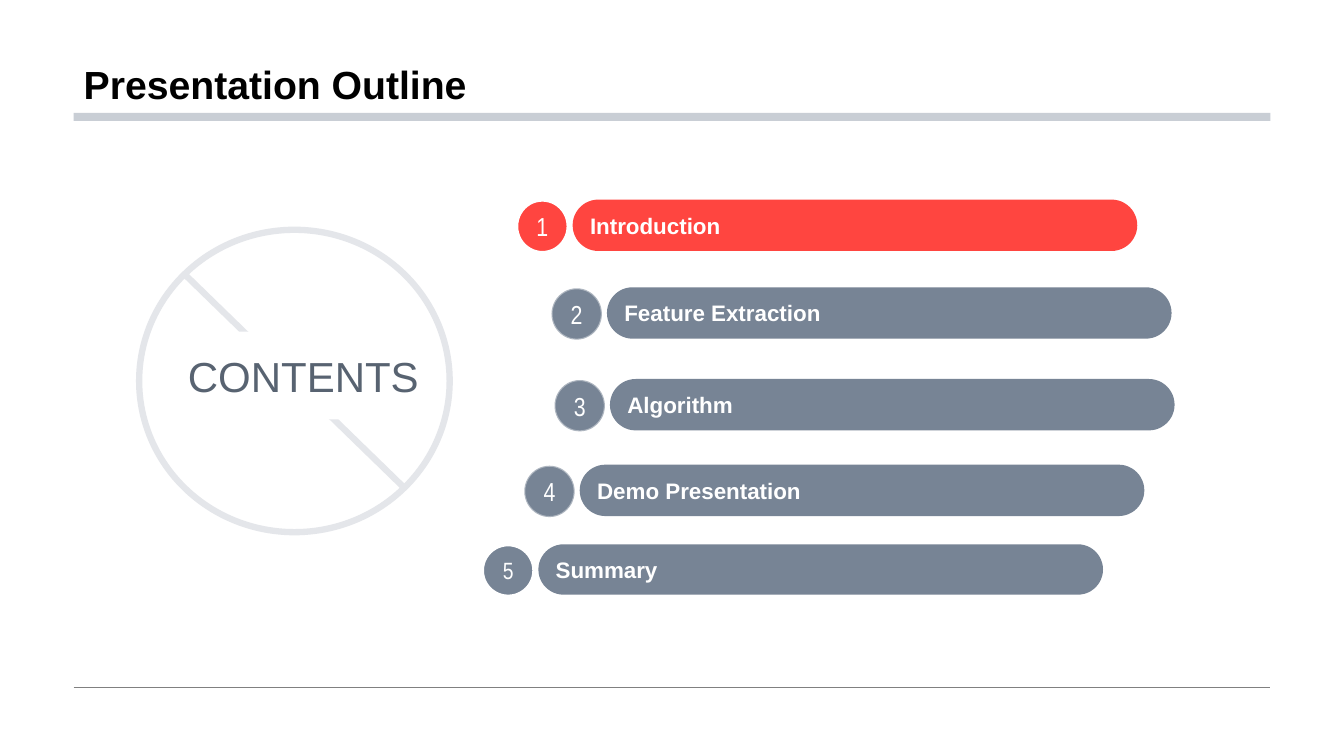
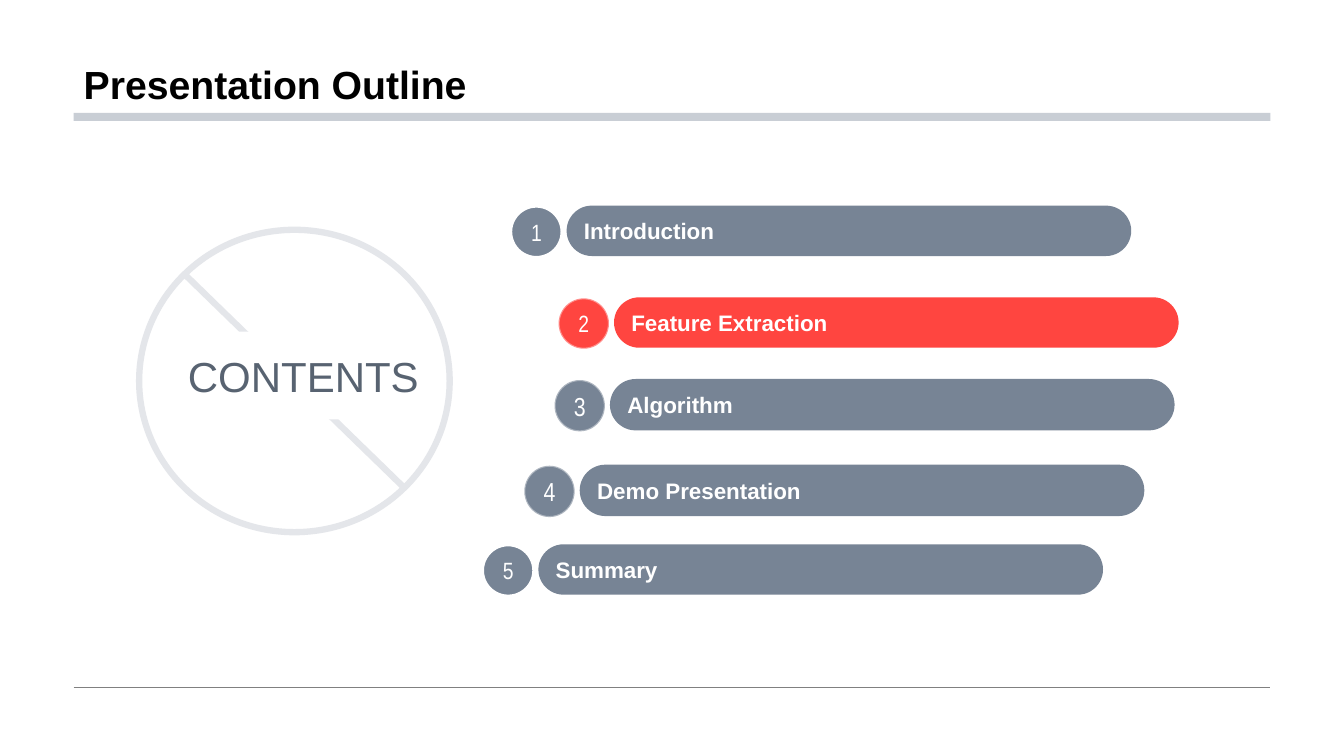
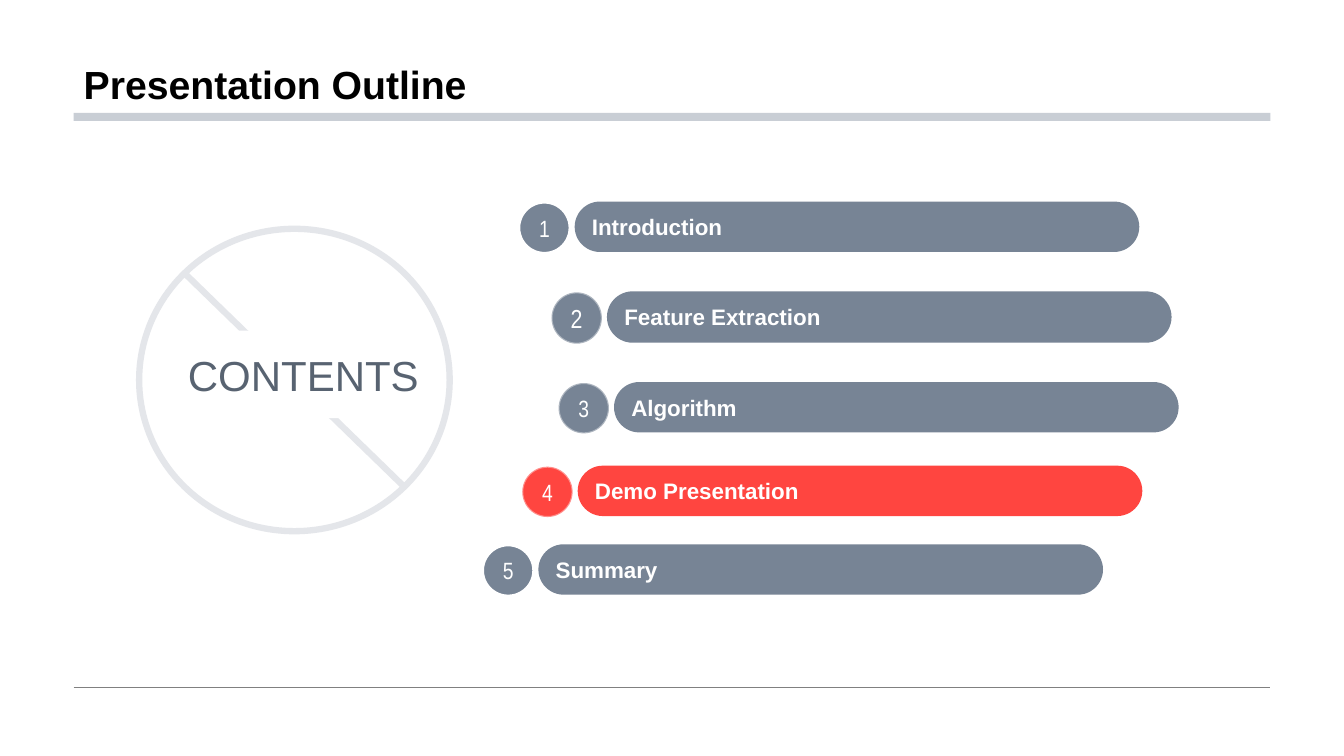
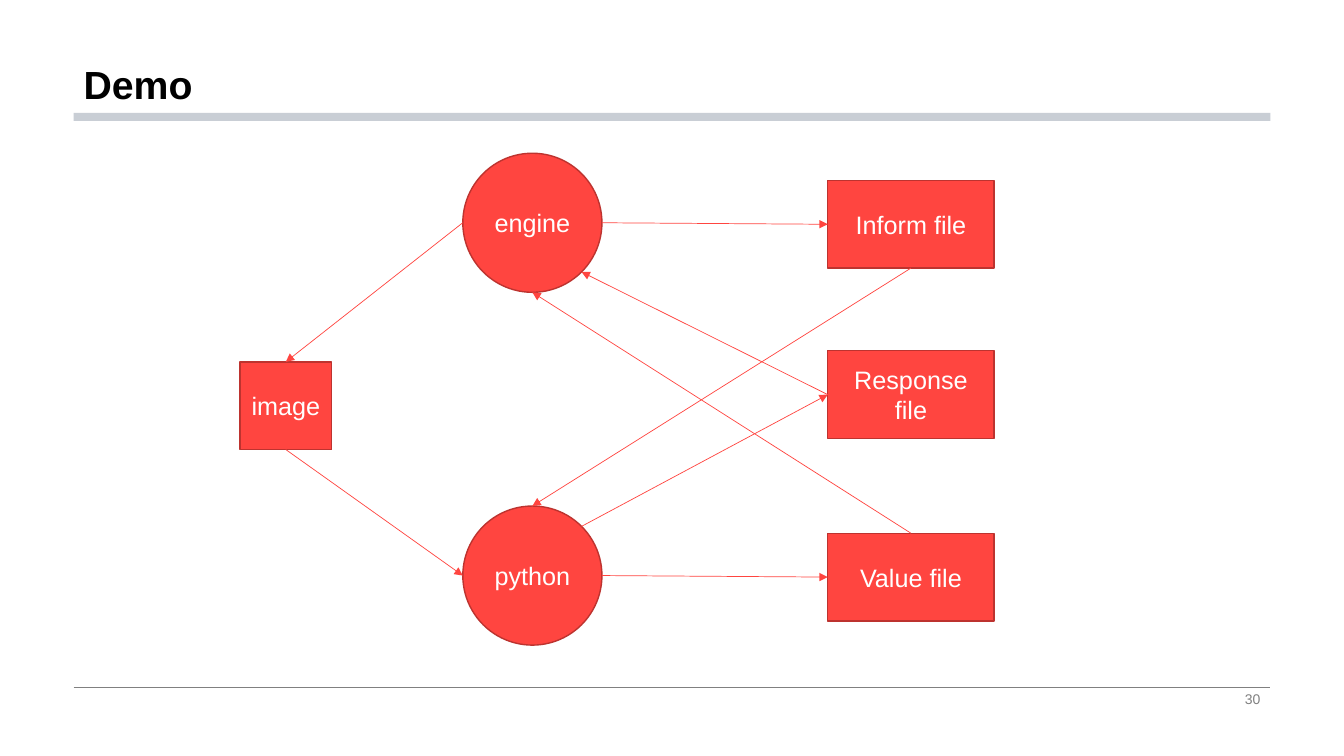
from dataclasses import dataclass
from enum import Enum
from math import sqrt

from lxml.etree import SubElement
from pptx import Presentation
from pptx.dml.color import RGBColor
from pptx.enum.shapes import MSO_CONNECTOR, MSO_SHAPE
from pptx.enum.text import MSO_ANCHOR, PP_ALIGN
from pptx.oxml.ns import qn
from pptx.shapes.autoshape import Shape
from pptx.shapes.connector import Connector
from pptx.slide import Slide, SlideLayout
from pptx.text.text import TextFrame
from pptx.util import Pt

EMU_PER_PX = 9144  # 100 px to the inch

BLACK = RGBColor(0x00, 0x00, 0x00)
WHITE = RGBColor(0xFF, 0xFF, 0xFF)
RED = RGBColor(0xFF, 0x45, 0x40)
DARK_RED = RGBColor(0xBD, 0x33, 0x2F)
SLATE = RGBColor(0x77, 0x84, 0x95)
DARK_SLATE = RGBColor(0x58, 0x63, 0x71)
BAND_GREY = RGBColor(0xC9, 0xCE, 0xD5)
RING_GREY = RGBColor(0xE4, 0xE6, 0xEA)
FOOTER_GREY = RGBColor(0x80, 0x80, 0x80)

SANS = "Arial"
NARROW = "Arial Narrow"
MARGIN, CONTENT_WIDTH = 73, 1187
FOOTER_TOP = 682
DIAGONAL = sqrt(0.5)


@dataclass(frozen=True)
class Box:
    left: int
    top: int
    width: int
    height: int

    def emu(self) -> tuple[int, int, int, int]:
        return px(self.left), px(self.top), px(self.width), px(self.height)


@dataclass(frozen=True)
class Entry:
    """Place of one outline entry, measured at its number badge."""
    left: int
    top: int
    height: int


@dataclass(frozen=True)
class Outline:
    current: int
    contents_top: int
    entries: tuple[Entry, ...]


@dataclass(frozen=True)
class Node:
    label: str
    box: Box
    is_round: bool = False


class Site(Enum):
    """Directions from a node's centre; the first four follow glue order."""
    TOP = (0, -1)
    LEFT = (-1, 0)
    BOTTOM = (0, 1)
    RIGHT = (1, 0)
    LOWER_RIGHT = (DIAGONAL, DIAGONAL)
    UPPER_RIGHT = (DIAGONAL, -DIAGONAL)


@dataclass(frozen=True)
class Arrow:
    source: Node
    source_site: Site
    target: Node
    target_site: Site


TOPICS = ("Introduction", "Feature Extraction", "Algorithm",
          "Demo Presentation", "Summary")
FAINT_RIMMED = (2, 3, 4)

ALGORITHM = Entry(550, 377, 51)
DEMO = Entry(520, 462, 51)
SUMMARY = Entry(479, 541, 50)
OUTLINES = (
    Outline(1, 228, (Entry(513, 199, 51), Entry(547, 286, 51),
                     ALGORITHM, DEMO, SUMMARY)),
    Outline(2, 228, (Entry(507, 205, 50), Entry(554, 296, 50),
                     ALGORITHM, DEMO, SUMMARY)),
    Outline(4, 227, (Entry(515, 201, 50), Entry(547, 290, 51),
                     Entry(554, 380, 50), Entry(518, 463, 50), SUMMARY)),
)

ENGINE = Node("engine", Box(459, 152, 138, 138), True)
PYTHON = Node("python", Box(459, 502, 138, 138), True)
INFORM = Node("Inform file", Box(821, 179, 165, 87))
RESPONSE = Node("Response file", Box(821, 348, 165, 87))
VALUE = Node("Value file", Box(821, 529, 165, 87))
IMAGE = Node("image", Box(238, 359, 91, 87))
NODES = (ENGINE, INFORM, PYTHON, RESPONSE, VALUE, IMAGE)
ARROWS = (
    Arrow(ENGINE, Site.RIGHT, INFORM, Site.LEFT),
    Arrow(INFORM, Site.BOTTOM, PYTHON, Site.TOP),
    Arrow(PYTHON, Site.UPPER_RIGHT, RESPONSE, Site.LEFT),
    Arrow(PYTHON, Site.RIGHT, VALUE, Site.LEFT),
    Arrow(RESPONSE, Site.LEFT, ENGINE, Site.LOWER_RIGHT),
    Arrow(VALUE, Site.TOP, ENGINE, Site.BOTTOM),
    Arrow(IMAGE, Site.BOTTOM, PYTHON, Site.LEFT),
    Arrow(ENGINE, Site.LEFT, IMAGE, Site.TOP),
)


def px(length: float) -> int:
    return round(length * EMU_PER_PX)


def write(frame: TextFrame, text: str, size: float, color: RGBColor,
          font: str = SANS, bold: bool = False,
          align: PP_ALIGN = PP_ALIGN.CENTER, wrap: bool = True) -> None:
    frame.text = text
    frame.word_wrap = wrap
    frame.vertical_anchor = MSO_ANCHOR.MIDDLE
    para = frame.paragraphs[0]
    para.alignment = align
    para.font.size = Pt(size)
    para.font.name = font
    para.font.bold = bold
    para.font.color.rgb = color


def add_shape(slide: Slide, kind: MSO_SHAPE, box: Box,
              fill: RGBColor | None = None, line: RGBColor | None = None,
              line_width: float = 1) -> Shape:
    shape = slide.shapes.add_shape(kind, *box.emu())
    shape.shadow.inherit = False
    if fill is None:
        shape.fill.background()
    else:
        shape.fill.solid()
        shape.fill.fore_color.rgb = fill
    if line is None:
        shape.line.fill.background()
    else:
        shape.line.color.rgb = line
        shape.line.width = Pt(line_width)
    return shape


def add_line(slide: Slide, start: tuple[float, float],
             end: tuple[float, float], color: RGBColor,
             width: float) -> Connector:
    line = slide.shapes.add_connector(
        MSO_CONNECTOR.STRAIGHT, *(px(value) for value in (*start, *end)))
    line.line.color.rgb = color
    line.line.width = Pt(width)
    SubElement(line.element.spPr, qn("a:effectLst"))
    return line


def prepare_layout(layout: SlideLayout, slide: Slide) -> None:
    """Give the layout its title place, band and footer line."""
    for holder in list(layout.placeholders):
        if holder.placeholder_format.idx:
            holder.element.getparent().remove(holder.element)
    title = layout.placeholders[0]
    title.left, title.top, title.width, title.height = Box(
        MARGIN, 0, CONTENT_WIDTH, 112).emu()
    title.text_frame.vertical_anchor = MSO_ANCHOR.BOTTOM
    footer_line = add_line(slide, (MARGIN, FOOTER_TOP),
                           (MARGIN + CONTENT_WIDTH, FOOTER_TOP),
                           FOOTER_GREY, 0.5)
    band = add_shape(slide, MSO_SHAPE.RECTANGLE,
                     Box(MARGIN, 112, CONTENT_WIDTH, 8), BAND_GREY)
    for number, shape in enumerate((footer_line, band), start=20):
        shape.element.xpath(".//p:cNvPr")[0].set("id", str(number))
        layout.shapes.element.append(shape.element)


def set_title(slide: Slide, text: str) -> None:
    frame = slide.shapes.title.text_frame
    write(frame, text, 28, BLACK, bold=True, align=PP_ALIGN.LEFT)
    frame.vertical_anchor = MSO_ANCHOR.BOTTOM
    frame.paragraphs[0].line_spacing = 0.9


def add_contents_sign(slide: Slide, top: int) -> None:
    add_line(slide, (183, top + 44), (401, top + 256), RING_GREY, 4.5)
    add_shape(slide, MSO_SHAPE.OVAL, Box(138, top, 308, 300),
              line=RING_GREY, line_width=4.5)
    label = add_shape(slide, MSO_SHAPE.RECTANGLE,
                      Box(168, top + 101, 266, 87), WHITE)
    write(label.text_frame, "CONTENTS", 30, DARK_SLATE)


def add_entry(slide: Slide, number: int, entry: Entry, fill: RGBColor) -> None:
    badge = add_shape(slide, MSO_SHAPE.OVAL,
                      Box(entry.left, entry.top, 50, entry.height),
                      fill, WHITE, 1.5)
    if number in FAINT_RIMMED:
        rim = badge.element.spPr.find(f"{qn('a:ln')}//{qn('a:srgbClr')}")
        SubElement(rim, qn("a:alpha"), val="40000")
    write(badge.text_frame, str(number), 18.6 if entry.height > 50 else 16.8,
          WHITE, font=NARROW, wrap=False)
    pill = add_shape(slide, MSO_SHAPE.ROUNDED_RECTANGLE,
                     Box(entry.left + 55, entry.top - 1, 560, entry.height),
                     fill)
    pill.adjustments[0] = 0.5
    write(pill.text_frame, TOPICS[number - 1], 16, WHITE, bold=True,
          align=PP_ALIGN.LEFT, wrap=False)


def build_outline(slide: Slide, outline: Outline) -> None:
    set_title(slide, "Presentation Outline")
    add_contents_sign(slide, outline.contents_top)
    for number, entry in enumerate(outline.entries, start=1):
        add_entry(slide, number, entry,
                  RED if number == outline.current else SLATE)


def site_point(box: Box, site: Site) -> tuple[float, float]:
    across, down = site.value
    return (box.left + box.width * (1 + across) / 2,
            box.top + box.height * (1 + down) / 2)


def add_node(slide: Slide, node: Node) -> Shape:
    kind = (MSO_SHAPE.FLOWCHART_CONNECTOR if node.is_round
            else MSO_SHAPE.FLOWCHART_PROCESS)
    shape = add_shape(slide, kind, node.box, RED, DARK_RED)
    write(shape.text_frame, node.label, 18, WHITE)
    return shape


def add_arrow(slide: Slide, arrow: Arrow, shapes: dict[Node, Shape]) -> None:
    line = add_line(slide, site_point(arrow.source.box, arrow.source_site),
                    site_point(arrow.target.box, arrow.target_site), RED, 0.5)
    SubElement(line.line._get_or_add_ln(), qn("a:tailEnd"), type="triangle")
    sites = list(Site)
    if not arrow.source.is_round:
        line.begin_connect(shapes[arrow.source], sites.index(arrow.source_site))
    if not arrow.target.is_round:
        line.end_connect(shapes[arrow.target], sites.index(arrow.target_site))


def build_demo(slide: Slide) -> None:
    set_title(slide, "Demo")
    page_number = slide.shapes.add_textbox(
        *Box(942, FOOTER_TOP, 318, 23).emu())
    write(page_number.text_frame, "30", 10, FOOTER_GREY, align=PP_ALIGN.RIGHT)
    shapes = {node: add_node(slide, node) for node in NODES}
    for arrow in ARROWS:
        add_arrow(slide, arrow, shapes)


def main() -> None:
    deck = Presentation()
    deck.slide_width, deck.slide_height = px(1333), px(750)
    layout = deck.slide_layouts.get_by_name("Title Only")
    pages = [deck.slides.add_slide(layout) for _ in range(len(OUTLINES) + 1)]
    prepare_layout(layout, pages[0])
    for page, outline in zip(pages, OUTLINES):
        build_outline(page, outline)
    build_demo(pages[-1])
    deck.save("out.pptx")


if __name__ == "__main__":
    main()
